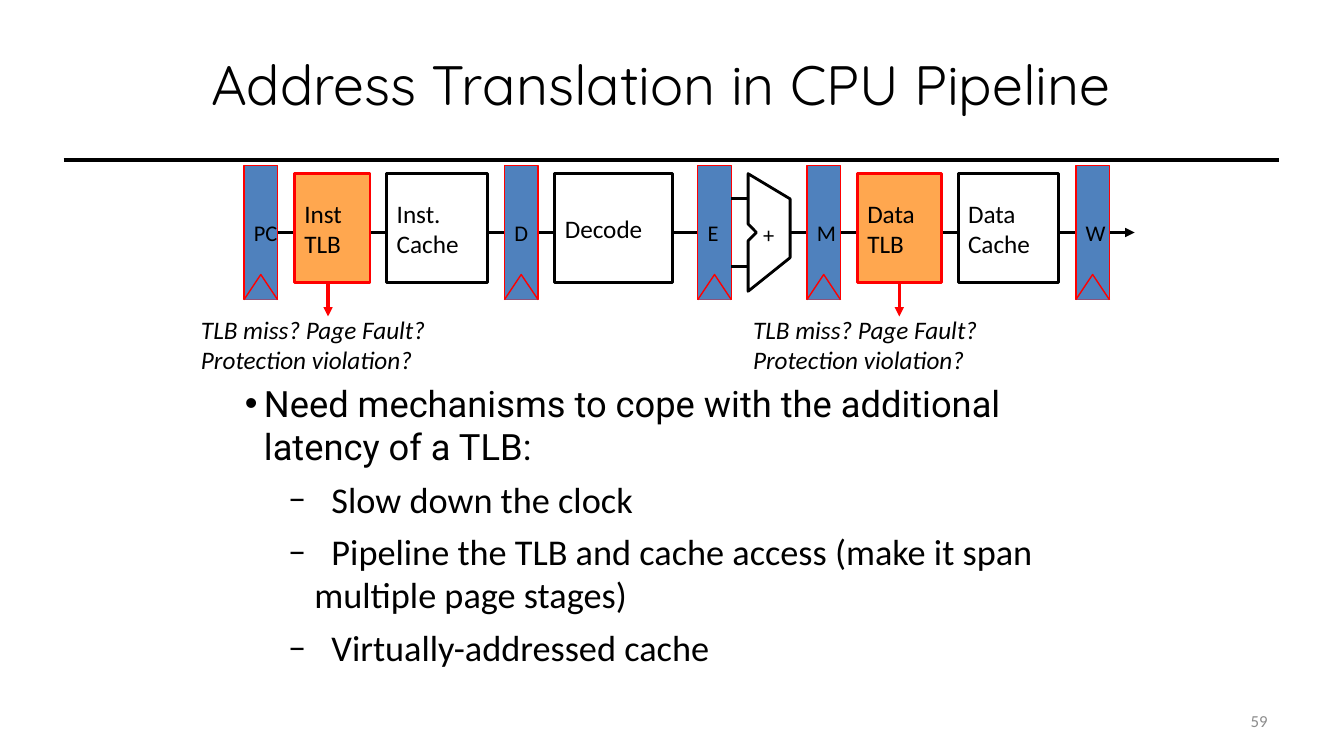
import pptx
import pptx.util
import pptx.dml.color
import pptx.enum.shapes
import pptx.enum.text
import pptx.oxml.ns
from lxml import etree

Inch = pptx.util.Inches
Pt = pptx.util.Pt
ALIGN = pptx.enum.text.PP_ALIGN
MIDDLE = pptx.enum.text.MSO_ANCHOR.MIDDLE
KIND = pptx.enum.shapes.MSO_SHAPE
BLACK, WHITE, RED, BLUE, AMBER = "000000", "FFFFFF", "FF0000", "4F81BD", "FFA74F"
UNIT = 1 / 12  # pipeline grid step in inches


def color(code):
    return pptx.dml.color.RGBColor.from_string(code)


def add(node, tag, **attrs):
    return etree.SubElement(node, pptx.oxml.ns.qn(tag), attrs)


def paint(shape, fill, line, width):
    shape.shadow.inherit = False
    shape.fill.solid()
    shape.fill.fore_color.rgb = color(fill)
    shape.line.color.rgb = color(line)
    shape.line.width = Pt(width)


def style(par, size, font="Calibri", ink=BLACK, italic=False, align=ALIGN.LEFT):
    par.alignment = align
    for run in par.runs:
        run.font.size = Pt(size)
        run.font.name = font
        run.font.italic = italic
        run.font.color.rgb = color(ink)


def write(shape, text, size, wrap=True, **look):
    frame = shape.text_frame
    frame.word_wrap = wrap
    frame.vertical_anchor = MIDDLE
    frame.text = text
    for par in frame.paragraphs:
        style(par, size, **look)


def label(slide, box, text, size, **look):
    shape = slide.shapes.add_textbox(*map(Inch, box))
    write(shape, text, size, **look)


def wire(slide, start, end, ink=BLACK, width=2.25, arrow=False):
    line = slide.shapes.add_connector(
        pptx.enum.shapes.MSO_CONNECTOR.STRAIGHT, *map(Inch, (*start, *end)))
    line.line.color.rgb = color(ink)
    line.line.width = Pt(width)
    if arrow:
        add(line.line._get_or_add_ln(), "a:tailEnd", type="triangle")
    add(line._element.spPr, "a:effectLst")


def outline(slide, points, close):
    first, *rest = [tuple(map(Inch, point)) for point in points]
    path = slide.shapes.build_freeform(*first)
    path.add_line_segments(rest, close=close)
    return path.convert_to_shape()


def header(slide, box):
    left, top, width, height = box
    rule = top + height
    wire(slide, (left, rule), (left + width, rule), width=3)
    label(slide, (left + 1.2, top + 0.37, 9.45, 0.91),
          "Address Translation in CPU Pipeline", 39.6,
          font="Quicksand", align=ALIGN.CENTER)


def pipeline(slide, box):
    left, top = box

    def at(col, row):
        return left + col * UNIT, top + row * UNIT

    def block(col, row, cols, rows):
        return slide.shapes.add_shape(
            KIND.RECTANGLE, *map(Inch, (*at(col, row), cols * UNIT, rows * UNIT)))

    # Data path
    wire(slide, at(65, 8), at(106, 8), arrow=True)
    wire(slide, at(4, 8), at(54, 8))

    # Stage registers with clock marks
    for name, col in (("PC", 0), ("D", 31), ("E", 54), ("M", 67), ("W", 99)):
        stage = block(col, 0, 4, 16)
        paint(stage, BLUE, RED, 1)
        write(stage, name, 16, wrap=False)
        clock = outline(slide, (at(col, 16), at(col + 2, 13), at(col + 4, 16)), False)
        paint(clock, BLUE, RED, 1)

    # Units between the registers
    units = (("Inst TLB", 6, 9), ("Inst. Cache", 17, 12), ("Decode", 37, 14),
             ("Data TLB", 73, 10), ("Data Cache", 85, 12))
    for name, col, cols in units:
        unit = block(col, 1, cols, 13)
        paint(unit, *((AMBER, RED) if "TLB" in name else (WHITE, BLACK)), 2)
        write(unit, name, 18)

    # Adder with its two inputs
    shape = ((0, 0), (0, 6), (1, 7), (0, 8), (0, 14), (5, 10), (5, 3))
    adder = outline(slide, [at(60 + x, 1 + y) for x, y in shape], True)
    paint(adder, WHITE, BLACK, 2)
    for row in (4, 12):
        wire(slide, at(58, row), at(60, row))
    label(slide, (*at(60.6, 6), 0.31, 0.37), "+", 16, wrap=False)

    # Fault exits below the TLBs
    for col, note in ((10, -6.3), (78, 59.4)):
        wire(slide, at(col, 14), at(col, 18), ink=RED, arrow=True)
        label(slide, (*at(note, 17.1), 2.51, 0.71),
              "TLB miss? Page Fault?\nProtection violation?", 18,
              wrap=False, italic=True)


def bullets(slide, box):
    items = ("Need mechanisms to cope with the additional latency of a TLB:",
             "\tSlow down the clock",
             "\tPipeline the TLB and cache access (make it span multiple page stages)",
             "\tVirtually-addressed cache")
    frame = slide.shapes.add_textbox(*map(Inch, box)).text_frame
    frame.word_wrap = True
    frame.text = "\n".join(items)
    for rank, par in enumerate(frame.paragraphs):
        sub = rank > 0
        props = par._p.get_or_add_pPr()
        props.set("marL", str(Inch(0.69 if sub else 0.19)))
        props.set("indent", str(Inch(-0.26 if sub else -0.19)))
        if sub:
            par.level = 1
            par.space_before = Pt(6.3)
        add(props, "a:buFont", typeface="Calibri" if sub else "Arial")
        add(props, "a:buChar", char="–" if sub else "•")
        if sub:
            add(add(props, "a:tabLst"), "a:tab", pos=str(Inch(0.86)), algn="l")
        style(par, 25.9, font="Calibri" if sub else "Roboto")


def main():
    deck = pptx.Presentation()
    deck.slide_width, deck.slide_height = Inch(13.33), Inch(7.5)
    slide = deck.slides.add_slide(deck.slide_layouts[6])
    header(slide, (0.63, 0, 12.06, 1.59))
    label(slide, (9.56, 6.95, 3.11, 0.4), "59", 12, ink="8C8C8C", align=ALIGN.RIGHT)
    bullets(slide, (2.33, 3.73, 8.8, 3.42))
    pipeline(slide, (2.42, 1.64))
    deck.save("out.pptx")


if __name__ == "__main__":
    main()
